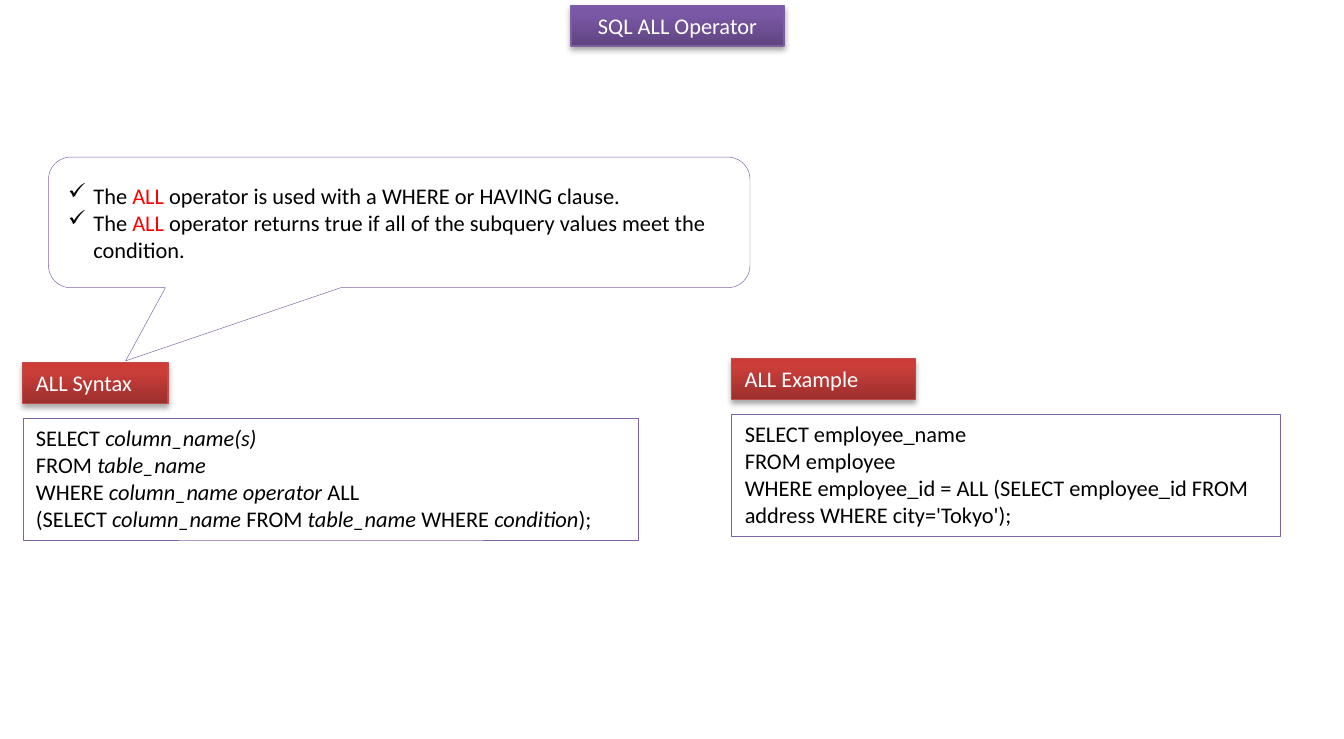
from copy import deepcopy

from lxml import etree
from pptx import Presentation
from pptx import util as u
from pptx.dml.color import RGBColor
from pptx.enum import shapes, text
from pptx.oxml import ns

WHITE = RGBColor(255, 255, 255)
BLACK = RGBColor(0, 0, 0)
RED = RGBColor(255, 0, 0)
EDGE = RGBColor(0x80, 0x64, 0xA2)
PURPLE = [RGBColor.from_string(c) for c in ("5F4480", "7B58A6", "7C57A8", "7D60A0")]
CRIMSON = [RGBColor.from_string(c) for c in ("9C2F2D", "CB3E3A", "CE3B37", "BF4C48")]

SYNTAX = ["SELECT |column_name(s)|\nFROM |table_name|\n"
          "WHERE |column_name operator| ALL\n"
          "(SELECT |column_name |FROM |table_name |WHERE |condition|);"]
SAMPLE = ["SELECT employee_name", "FROM employee",
          "WHERE employee_id = ALL (SELECT employee_id FROM address WHERE city='Tokyo');"]
NOTES = ["The |ALL| operator is used with a WHERE or HAVING clause.",
         "The |ALL |operator returns true if all of the subquery values meet the condition."]


def add(parent, tag, **attrs):
    node = etree.SubElement(parent, ns.qn(tag))
    for key, val in attrs.items():
        node.set(key, str(val))
    return node


def write(shape, paras, color=BLACK, accent=None, italic=False, mark=None,
          align=text.PP_ALIGN.LEFT, anchor=text.MSO_ANCHOR.TOP, grow=True):
    frame = shape.text_frame
    frame.word_wrap = True
    frame.vertical_anchor = anchor
    if grow:
        frame.auto_size = text.MSO_AUTO_SIZE.SHAPE_TO_FIT_TEXT
    for i, line in enumerate(paras):
        para = frame.add_paragraph() if i else frame.paragraphs[0]
        para.alignment = align
        if mark:
            props = para._p.get_or_add_pPr()
            props.set("marL", str(u.Pt(13.5)))
            props.set("indent", str(u.Pt(-13.5)))
            add(props, "a:buChar", char=mark)
        for j, part in enumerate(line.split("|")):
            for k, words in enumerate(part.split("\n")):
                if k:
                    para.add_line_break()
                if not words:
                    continue
                run = para.add_run()
                run.text = words
                font = run.font
                font.name, font.size = "Calibri", u.Pt(12)
                font.color.rgb = accent if accent and j % 2 else color
                if italic and j % 2:
                    font.italic = True


def draw(slide, kind, left, top, width, height, line=EDGE, weight=0.25):
    shape = slide.shapes.add_shape(kind, *map(u.Pt, (left, top, width, height)))
    shape.shadow.inherit = False
    shape.fill.solid()
    shape.fill.fore_color.rgb = WHITE
    shape.line.color.rgb = line
    shape.line.width = u.Pt(weight)
    return shape


def label(slide, words, left, top, width, tones, **style):
    shape = draw(slide, shapes.MSO_SHAPE.RECTANGLE, left, top, width, 21.8,
                 line=tones[3], weight=0.75)
    shape.fill.gradient()
    shape.fill.gradient_angle = 90
    props = shape._element.spPr
    stops = props.find(".//" + ns.qn("a:gsLst"))
    stops.append(deepcopy(stops[0]))
    for stop, pos, tone in zip(shape.fill.gradient_stops, (0, 0.8, 1), tones):
        stop.position = pos
        stop.color.rgb = tone
    shade = add(props.find(ns.qn("a:effectLst")), "a:outerShdw", blurRad=u.Pt(3.1),
                dist=u.Pt(1.8), dir=5400000, rotWithShape=0)
    add(add(shade, "a:srgbClr", val=BLACK), "a:alpha", val=35000)
    write(shape, [words], color=WHITE, **style)


def panel(slide, title, code, left, top, tag, width, **style):
    box = draw(slide, shapes.MSO_SHAPE.RECTANGLE, left, top + 29.6, width, 65.4)
    write(box, code, **style)
    label(slide, title, left, top, tag, CRIMSON)


def callout(slide):
    shape = draw(slide, shapes.MSO_SHAPE.ROUNDED_RECTANGULAR_CALLOUT,
                 26, 84.2, 375.8, 70)
    for i, val in enumerate((-0.39, 1.06, 0.17)):
        shape.adjustments[i] = val
    write(shape, NOTES, accent=RED, mark="✓",
          anchor=text.MSO_ANCHOR.MIDDLE, grow=False)


def main():
    deck = Presentation()
    deck.slide_width, deck.slide_height = u.Pt(720), u.Pt(396)
    slide = deck.slides.add_slide(deck.slide_layouts[6])
    label(slide, "SQL ALL Operator", 306, 2.9, 114, PURPLE,
          align=text.PP_ALIGN.CENTER)
    panel(slide, "ALL Syntax", SYNTAX, 12.2, 194.4, 77.8, 329.8, italic=True)
    callout(slide)
    panel(slide, "ALL Example", SAMPLE, 391.9, 192.2, 98.6, 293.8)
    deck.save("out.pptx")


if __name__ == "__main__":
    main()
